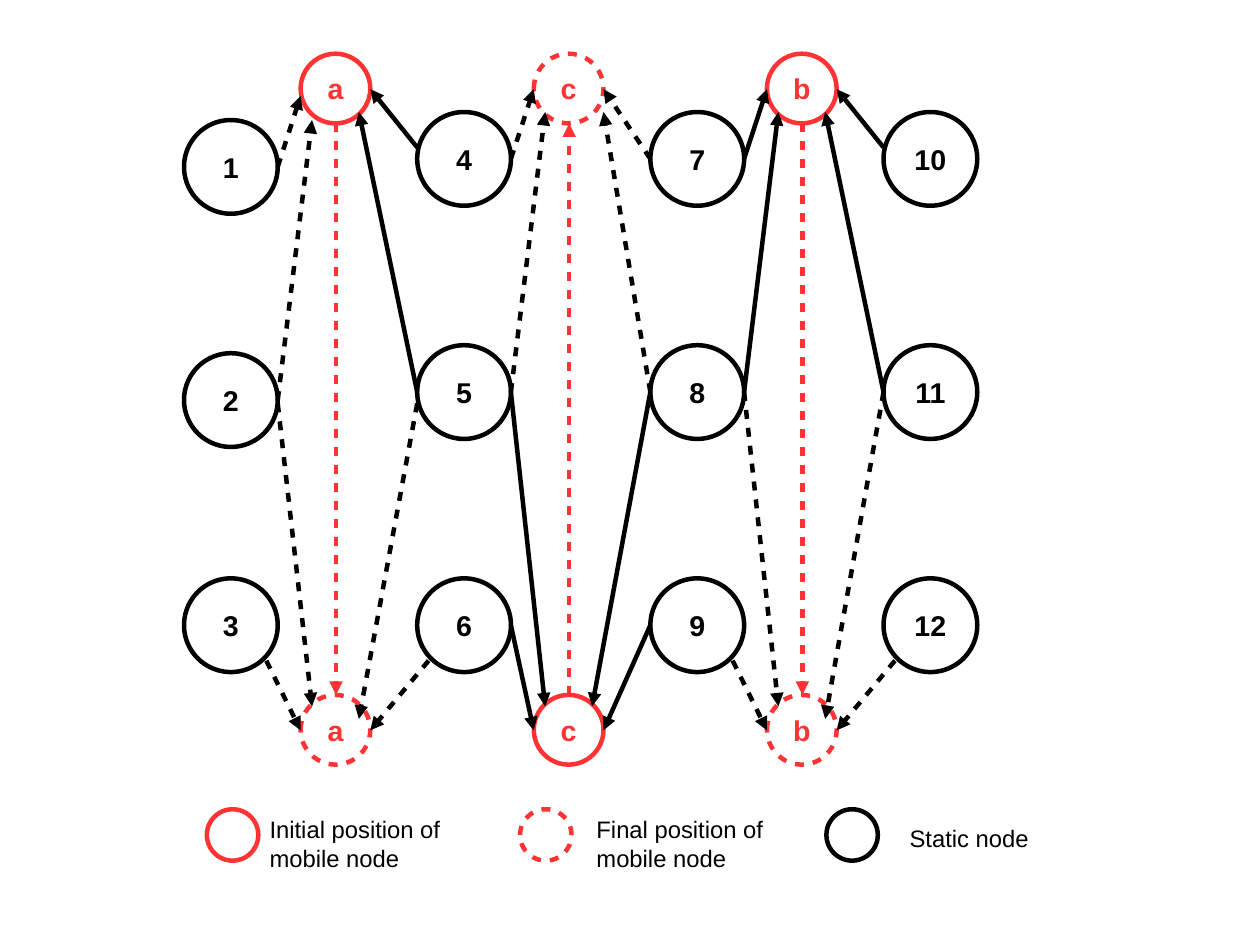
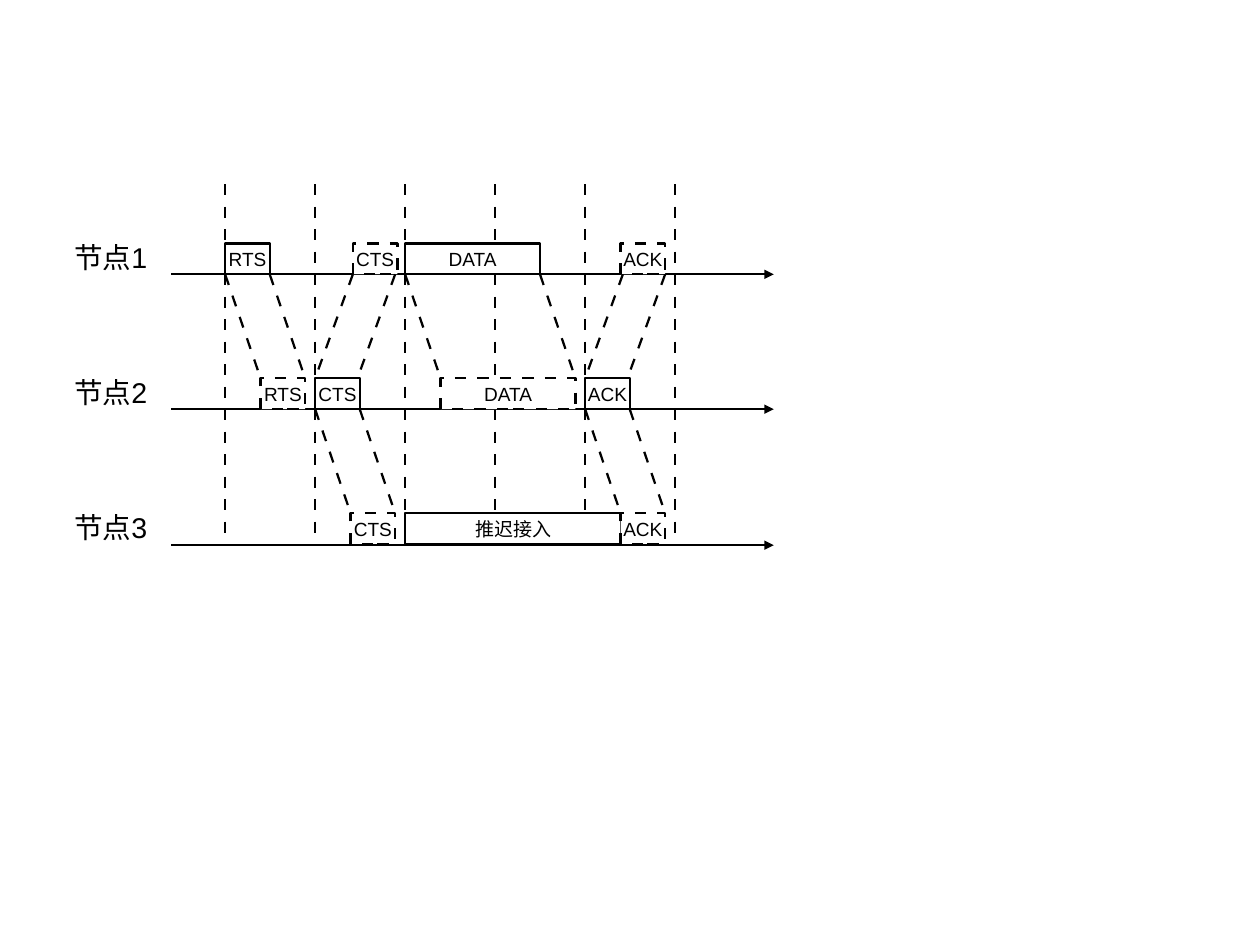
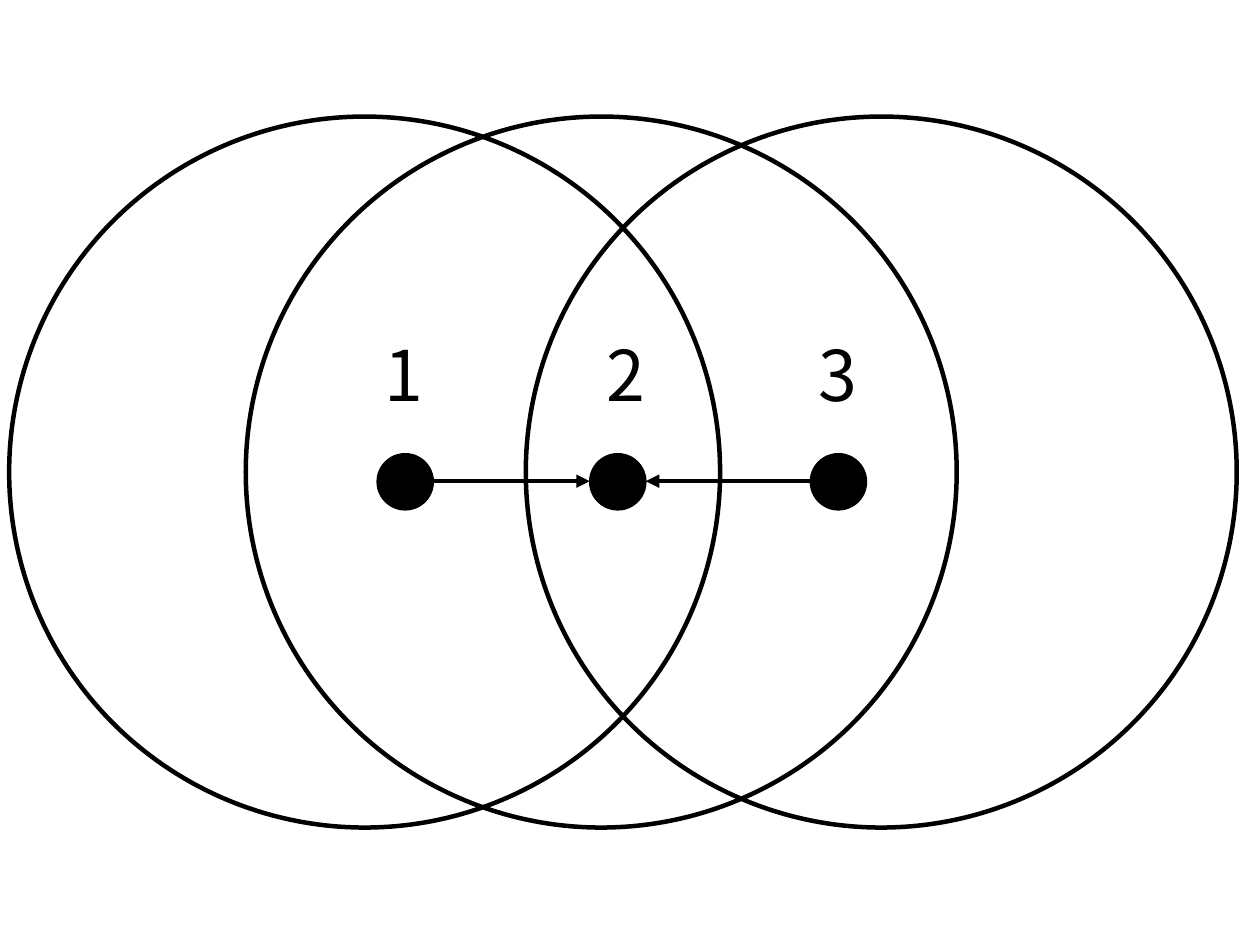
from dataclasses import dataclass

from lxml.etree import SubElement
from pptx import Presentation
from pptx.dml.color import RGBColor
from pptx.enum.shapes import MSO_CONNECTOR as Link, MSO_SHAPE as Preset
from pptx.enum.text import MSO_ANCHOR as Anchor, PP_ALIGN as Align
from pptx.oxml.ns import qn
from pptx.util import Cm, Pt

PX = 9144  # EMU per px, 100 px to the inch


@dataclass(frozen=True)
class Theme:
    ink: str = "000000"
    mobile: str = "FF3333"
    paper: str = "FFFFFF"
    latin: str = "Arial"
    cjk: str = "Noto Sans CJK SC"
    node_size: int = 18
    legend_size: int = 15
    packet_size: int = 12
    circle_size: int = 44
    thick: float = 2.83
    thin: float = 1.42
    hair: float = 1
    short_dash: int = 200000  # dash and gap, in 1/1000 % of the line width
    long_dash: int = 500000


THEME = Theme()

# Slide 1: 12 static nodes, 3 mobile nodes and the links between them
PITCH, STATIC, MOBILE = 204, 82, 61
LOWERED = {1: 7, 2: 7}
STATIC_PORTS = {
    "left": (0, 41), "left high": (0, 31), "left low": (0, 51),
    "right": (82, 41), "right low": (82, 44),
    "bottom left": (10, 72), "bottom right": (72, 72),
}
MOBILE_PORTS = {
    "left": (0, 31), "left low": (0, 37), "right": (61, 31),
    "top left": (10, 10), "top right": (51, 10), "inner right": (51, 21),
    "bottom left": (10, 51), "bottom right": (51, 51),
    "below left": (10, 58), "outer right": (61, 51),
}
# label, starts at the top, links to the top end, links to the bottom end
MOBILES = [
    ("a", True,
     [(1, "right", "left low"), (2, "right", "below left"),
      (4, "left high", "right"), (5, "left", "bottom right")],
     [(2, "right low", "top left"), (3, "bottom right", "left"),
      (5, "left low", "inner right"), (6, "bottom left", "right")]),
    ("c", False,
     [(4, "right", "left"), (5, "right", "bottom left"),
      (7, "left", "right"), (8, "left", "outer right")],
     [(5, "right", "top left"), (6, "right", "left"),
      (8, "left", "top right"), (9, "left", "right")]),
    ("b", True,
     [(7, "right", "left"), (8, "right", "bottom left"),
      (10, "left high", "right"), (11, "left", "bottom right")],
     [(8, "right", "top left"), (9, "bottom right", "left"),
      (11, "left", "inner right"), (12, "bottom left", "right")]),
]
ALWAYS_DASHED = {1, 2}
# text, circle left, text left, text top, colour, dashed
LEGEND = [
    ("Initial position of mobile node", 181, 226, 708, THEME.mobile, False),
    ("Final position of mobile node", 455, 512, 708, THEME.mobile, True),
    ("Static node", 723, 786, 716, THEME.ink, False),
]

# Slide 2: packets on three time axes
STATIONS = ["节点1", "节点2", "节点3"]
AXES = [240, 358, 477]
ROW_TOP, ROW_PITCH, PACKET_HEIGHT = 213, 118, 27
SLOT_START, SLOT_PITCH, SLOT_COUNT = 197, 78.74, 6
# label, sending row, slot, width, {receiving row: delay}
PACKETS = [
    ("RTS", 0, 0, 39, {1: 31}),
    ("CTS", 1, 1, 39, {0: 33, 2: 31}),
    ("DATA", 0, 2, 118, {1: 31}),
    ("推迟接入", 2, 2, 189, {}),
    ("ACK", 1, 4, 39, {0: 31, 2: 31}),
]

# Slide 3: overlapping ranges; label, range left, dot left, label left
RANGE, RANGE_TOP, DOT, DOT_TOP = 622, 102, 49, 397
STATION_RANGES = [("1", 8, 330, 336), ("2", 215, 516, 531), ("3", 460, 709, 716)]


def emu(*lengths):
    return [round(length * PX) for length in lengths]


def style_line(line, color, width, dash=None):
    line.color.rgb = RGBColor.from_string(color)
    line.width = Pt(width)
    if dash:
        pattern = SubElement(line._get_or_add_ln(), qn("a:custDash"))
        SubElement(pattern, qn("a:ds"), d=str(dash), sp=str(dash))


def write(frame, text, size, color=THEME.ink, font=THEME.latin, bold=False,
          insets=(10, 5), align=Align.LEFT, anchor=Anchor.TOP, wrap=True):
    frame.word_wrap = wrap
    frame.vertical_anchor = anchor
    frame.margin_left, frame.margin_top = emu(*insets)
    frame.margin_right, frame.margin_bottom = emu(*insets)
    paragraph = frame.paragraphs[0]
    paragraph.alignment = align
    run = paragraph.add_run()
    run.text = text
    run.font.name, run.font.size, run.font.bold = font, Pt(size), bold
    run.font.color.rgb = RGBColor.from_string(color)
    SubElement(run.font._element, qn("a:ea"), typeface=THEME.cjk)


def add_label(slide, text, left, top, width, height, size, **options):
    box = slide.shapes.add_textbox(*emu(left, top, width, height))
    write(box.text_frame, text, size, **options)


def add_outline(slide, preset, left, top, width, height, color=THEME.ink,
                weight=THEME.thick, dash=None, fill=THEME.paper):
    shape = slide.shapes.add_shape(preset, *emu(left, top, width, height))
    shape.shadow.inherit = False
    if fill:
        shape.fill.solid()
        shape.fill.fore_color.rgb = RGBColor.from_string(fill)
    else:
        shape.fill.background()
    style_line(shape.line, color, weight, dash)
    return shape


def add_line(slide, start, end, color=THEME.ink, weight=THEME.thick,
             dash=None, arrow=True):
    line = slide.shapes.add_connector(Link.STRAIGHT, *emu(*start, *end))
    style_line(line.line, color, weight, dash)
    if arrow:
        SubElement(line.line._get_or_add_ln(), qn("a:tailEnd"), type="triangle")
    SubElement(line._element.spPr, qn("a:effectLst"))


def add_node(slide, label, left, top, size, color=THEME.ink, dash=None):
    node = add_outline(slide, Preset.OVAL, left, top, size, size, color, dash=dash)
    write(node.text_frame, label, THEME.node_size, color, bold=True,
          insets=(12, 7), align=Align.CENTER, anchor=Anchor.MIDDLE, wrap=False)


def offset(origin, port):
    return origin[0] + port[0], origin[1] + port[1]


def build_mobility(slide):
    # Static grid, numbered down each column
    static_at = {}
    for number in range(1, 13):
        column, row = divmod(number - 1, 3)
        static_at[number] = (161 + column * PITCH,
                             98 + row * PITCH + LOWERED.get(number, 0))
        add_node(slide, str(number), *static_at[number], STATIC)

    # Mobile nodes with their links and path
    for column, (label, from_top, upper, lower) in enumerate(MOBILES):
        left = 263 + column * PITCH
        middle = left + (MOBILE + 1) // 2
        for top, links, initial in ((47, upper, from_top), (608, lower, not from_top)):
            end_dash = None if initial else THEME.short_dash
            add_node(slide, label, left, top, MOBILE, THEME.mobile, end_dash)
            for number, start, end in links:
                dash = THEME.short_dash if number in ALWAYS_DASHED else end_dash
                add_line(slide, offset(static_at[number], STATIC_PORTS[start]),
                         offset((left, top), MOBILE_PORTS[end]), dash=dash)
        path_ends = [(middle, 108), (middle, 608)]
        if not from_top:
            path_ends.reverse()
        add_line(slide, *path_ends, THEME.mobile, dash=THEME.short_dash)

    # Legend
    for text, circle_left, text_left, text_top, color, dashed in LEGEND:
        add_outline(slide, Preset.OVAL, circle_left, 708, 45, 45, color,
                    dash=THEME.short_dash if dashed else None)
        add_label(slide, text, text_left, text_top, 212, 56, THEME.legend_size)


def add_packet(slide, label, row, left, width, dash=None):
    packet = add_outline(slide, Preset.RECTANGLE, left, ROW_TOP + row * ROW_PITCH,
                         width, PACKET_HEIGHT, weight=THEME.thin, dash=dash)
    write(packet.text_frame, label, THEME.packet_size, insets=(11, 6),
          align=Align.CENTER, anchor=Anchor.MIDDLE, wrap=False)


def add_flight(slide, sender, receiver, left, width):
    # Both edges of a packet travel between neighbouring axes
    upward = receiver < sender
    delay, trim = (33, 2) if upward else (31, 0)
    upper_row = min(sender, receiver)
    for edge in (left, left + width - trim):
        upper_x, lower_x = (edge + delay, edge) if upward else (edge, edge + delay)
        add_line(slide, (upper_x, AXES[upper_row]),
                 (lower_x, ROW_TOP + (upper_row + 1) * ROW_PITCH),
                 weight=THEME.thin, dash=THEME.long_dash, arrow=False)


def build_timing(slide):
    def add_axis(y):
        add_line(slide, (150, y), (677, y), weight=THEME.thin)

    # Axes and slot borders behind the packets
    for y in AXES[:2]:
        add_axis(y)
    for slot in range(SLOT_COUNT):
        x = SLOT_START + slot * SLOT_PITCH
        add_line(slide, (x, 161), (x, 476), weight=THEME.thin,
                 dash=THEME.long_dash, arrow=False)

    # Packets as sent (solid) and as received (dashed)
    for label, sender, slot, width, receivers in PACKETS:
        left = SLOT_START + slot * SLOT_PITCH
        add_packet(slide, label, sender, left, width)
        for receiver, delay in receivers.items():
            add_packet(slide, label, receiver, left + delay, width, THEME.long_dash)
    for label, sender, slot, width, receivers in PACKETS:
        for receiver in receivers:
            add_flight(slide, sender, receiver, SLOT_START + slot * SLOT_PITCH, width)

    # Last axis in front, then station names
    add_axis(AXES[2])
    for row, station in enumerate(STATIONS):
        add_label(slide, station, 55, 205 + row * ROW_PITCH, 118, 90, THEME.node_size)


def build_ranges(slide):
    # Ranges, then dots and labels
    for _, range_left, _, _ in STATION_RANGES:
        add_outline(slide, Preset.OVAL, range_left, RANGE_TOP, RANGE, RANGE, fill=None)
    for label, _, dot_left, label_left in STATION_RANGES:
        add_outline(slide, Preset.OVAL, dot_left, DOT_TOP, DOT, DOT,
                    weight=THEME.hair, fill=THEME.ink)
        add_label(slide, label, label_left, 290, 149, 73, THEME.circle_size,
                  font=THEME.cjk, insets=(0, 0))

    # Both outer stations send to the middle one
    first, middle, last = [dot_left for _, _, dot_left, _ in STATION_RANGES]
    y = DOT_TOP + DOT // 2
    add_line(slide, (first + DOT, y), (middle, y))
    add_line(slide, (last, y), (middle + DOT, y))


def main():
    deck = Presentation()
    deck.slide_width = Cm(28)
    deck.slide_height = Cm(21)
    for build in (build_mobility, build_timing, build_ranges):
        build(deck.slides.add_slide(deck.slide_layouts[6]))
    deck.save("out.pptx")


if __name__ == "__main__":
    main()
